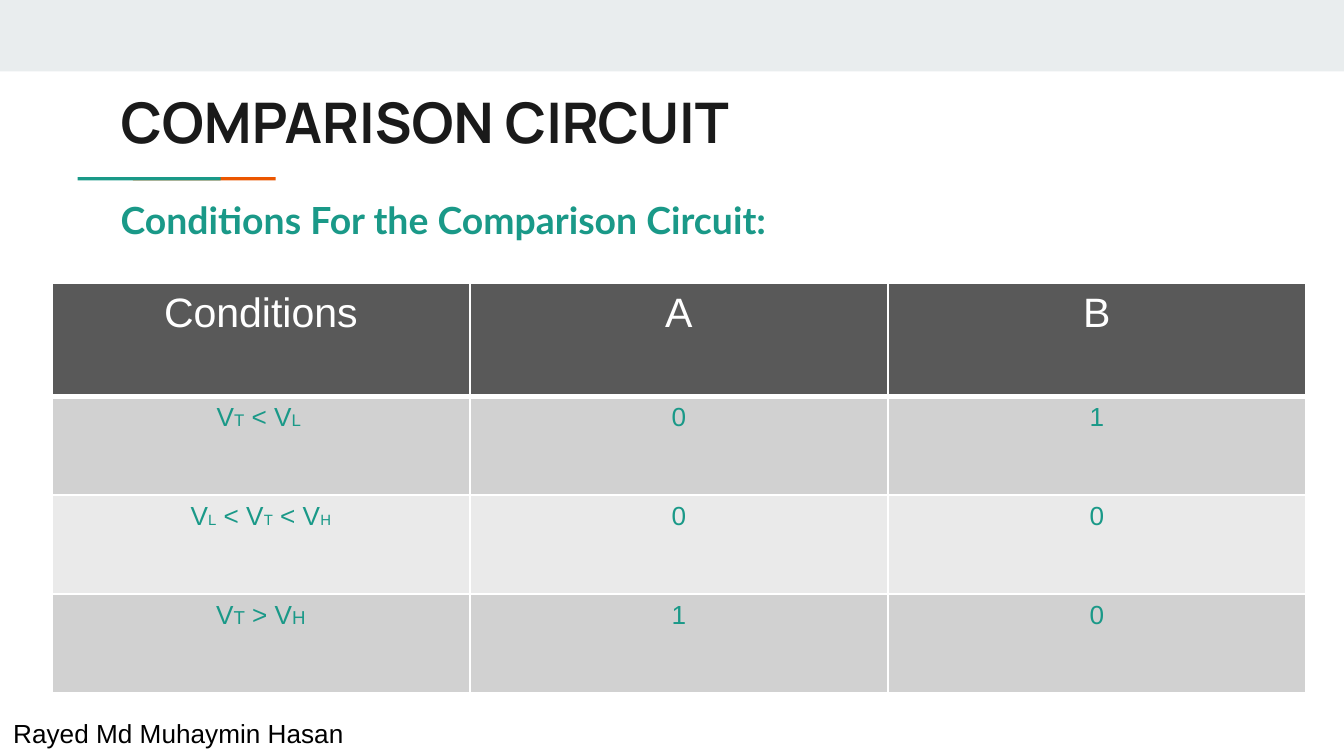
from lxml.etree import SubElement
from pptx import Presentation
from pptx.dml.color import RGBColor
from pptx.enum.shapes import MSO_SHAPE
from pptx.enum.text import MSO_ANCHOR, MSO_AUTO_SIZE, PP_ALIGN
from pptx.oxml.ns import qn
from pptx.util import Cm, Pt

TEAL, ORANGE, WHITE = "1A9988", "EB5600", "FFFFFF"
INSET = 0.25

TITLE = "COMPARISON CIRCUIT"
SUBTITLE = "Conditions For the Comparison Circuit:"
AUTHOR = "Rayed Md Muhaymin Hasan"
HEADERS = ["Conditions", "A", "B"]
ROWS = [
    {"condition": ["V", "T", " < V", "L "], "subscript": 9, "outputs": "01"},
    {"condition": ["V", "L", " < V", "T", " < V", "H"], "subscript": 8, "outputs": "00"},
    {"condition": ["V", "T", " > V", "H"], "subscript": 10, "outputs": "10"},
]
ROW_FILLS = ["D1D1D1", "EAEAEA"]
COLUMN_WIDTH, HEADER_HEIGHT, ROW_HEIGHT = 7.9, 2.13, 1.87


def color(value):
    return RGBColor.from_string(value)


def add_run(paragraph, text, size, font, fill, bold=False):
    run = paragraph.add_run()
    run.text = text
    run.font.size = Pt(size)
    run.font.name = font
    run.font.bold = bold
    run.font.color.rgb = color(fill)


def set_frame(frame, anchor):
    frame.word_wrap = True
    frame.auto_size = MSO_AUTO_SIZE.NONE
    frame.vertical_anchor = anchor
    frame.margin_left = frame.margin_right = Cm(INSET)
    frame.margin_top = frame.margin_bottom = Cm(INSET)
    paragraph = frame.paragraphs[0]
    paragraph.alignment = PP_ALIGN.LEFT
    return paragraph


def add_bar(slide, left, top, width, height, fill):
    shape = slide.shapes.add_shape(
        MSO_SHAPE.RECTANGLE, Cm(left), Cm(top), Cm(width), Cm(height))
    shape.shadow.inherit = False
    shape.fill.solid()
    shape.fill.fore_color.rgb = color(fill)
    shape.line.fill.background()
    return shape


def fill_cell(cell, runs, fill, bottom=1):
    properties = cell._tc.get_or_add_tcPr()
    for side, width in (("L", 1), ("R", 1), ("T", 1), ("B", bottom)):
        line = SubElement(properties, qn(f"a:ln{side}"), w=str(Pt(width)))
        solid = SubElement(line, qn("a:solidFill"))
        SubElement(solid, qn("a:srgbClr"), val=WHITE)
    cell.fill.solid()
    cell.fill.fore_color.rgb = color(fill)
    paragraph = cell.text_frame.paragraphs[0]
    paragraph.alignment = PP_ALIGN.CENTER
    for text, size, text_color in runs:
        add_run(paragraph, text, size, "Arial", text_color)


def add_conditions_table(slide):
    height = HEADER_HEIGHT + ROW_HEIGHT * len(ROWS)
    table = slide.shapes.add_table(
        len(ROWS) + 1, len(HEADERS), Cm(0.98), Cm(5.36),
        Cm(COLUMN_WIDTH * len(HEADERS)), Cm(height)).table
    for column in table.columns:
        column.width = Cm(COLUMN_WIDTH)
    for index, row in enumerate(table.rows):
        row.height = Cm(ROW_HEIGHT if index else HEADER_HEIGHT)
    for column, header in enumerate(HEADERS):
        fill_cell(table.cell(0, column), [(header, 22, WHITE)], "595959", bottom=3)
    for index, row in enumerate(ROWS):
        condition = [(text, row["subscript"] if position % 2 else 14, TEAL)
                     for position, text in enumerate(row["condition"])]
        outputs = [[(value, 14, TEAL)] for value in row["outputs"]]
        for column, runs in enumerate([condition, *outputs]):
            fill_cell(table.cell(index + 1, column), runs, ROW_FILLS[index % 2])


def main():
    """Build the comparison circuit slide."""
    presentation = Presentation()
    presentation.slide_width, presentation.slide_height = Cm(25.4), Cm(14.29)
    slide = presentation.slides.add_slide(presentation.slide_layouts[5])

    add_bar(slide, 0, 0, 25.4, 1.35, "E9EDEE")
    add_bar(slide, 2.51, 3.35, 2.7, 0.06, ORANGE)
    add_bar(slide, 1.47, 3.35, 2.7, 0.06, TEAL)

    title = slide.shapes.title
    title.left, title.top, title.width, title.height = Cm(2.03), Cm(1.4), Cm(17.02), Cm(1.96)
    paragraph = set_frame(title.text_frame, MSO_ANCHOR.TOP)
    add_run(paragraph, TITLE, 30, "Manrope", "1A1A1A", bold=True)

    subtitle = slide.shapes.add_textbox(Cm(2.03), Cm(3.35), Cm(13.36), Cm(1.85))
    paragraph = set_frame(subtitle.text_frame, MSO_ANCHOR.TOP)
    paragraph.line_spacing = 1.15
    add_run(paragraph, SUBTITLE, 20, "Lato", TEAL, bold=True)

    add_conditions_table(slide)

    footer = add_bar(slide, 0, 13.43, 25.4, 0.86, WHITE)
    paragraph = set_frame(footer.text_frame, MSO_ANCHOR.MIDDLE)
    add_run(paragraph, AUTHOR, 14, "Arial", "000000")

    presentation.save("out.pptx")


if __name__ == "__main__":
    main()
